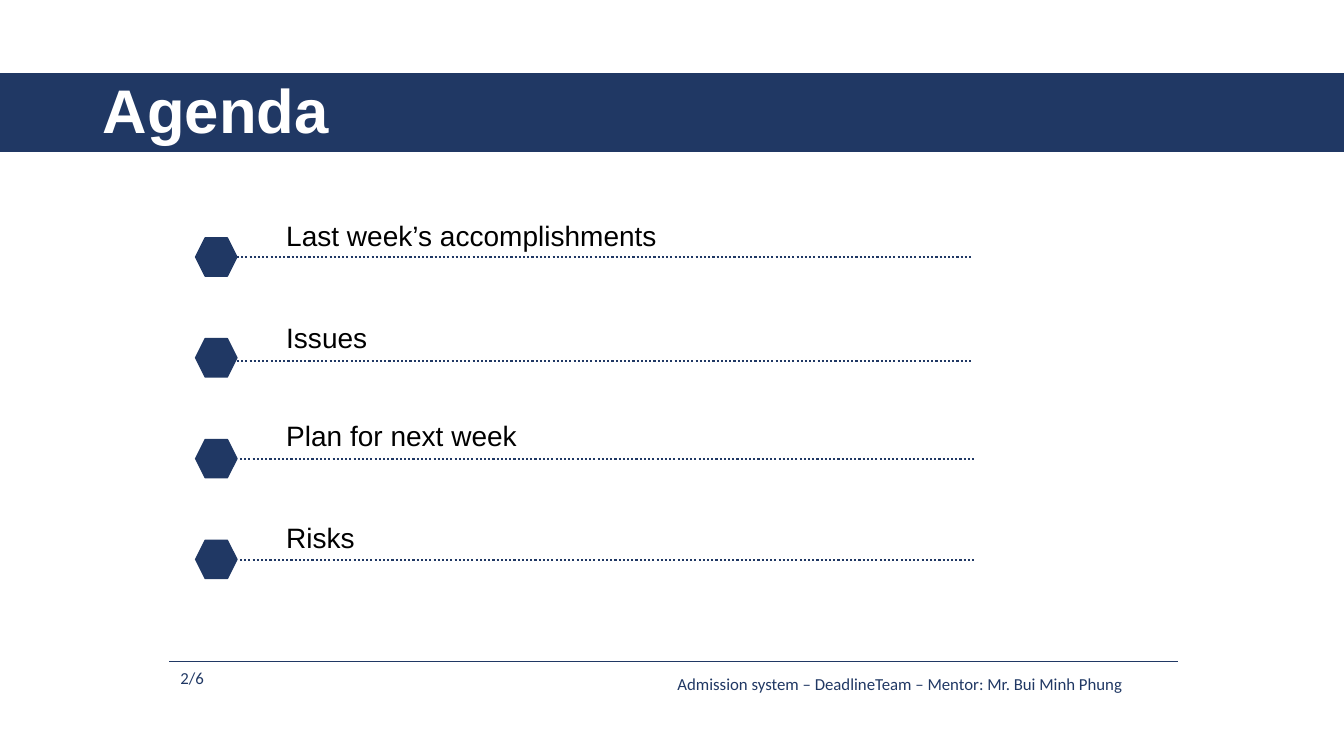
from dataclasses import dataclass
from lxml import etree
from pptx import Presentation
from pptx.dml.color import RGBColor
from pptx.enum.dml import MSO_LINE
from pptx.enum.shapes import MSO_CONNECTOR, MSO_SHAPE
from pptx.enum.text import MSO_ANCHOR, MSO_AUTO_SIZE, PP_ALIGN
from pptx.oxml.ns import qn
from pptx.util import Inches, Pt

RECT, HEXAGON = MSO_SHAPE.RECTANGLE, MSO_SHAPE.HEXAGON
STRAIGHT, DOTTED = MSO_CONNECTOR.STRAIGHT, MSO_LINE.ROUND_DOT
MIDDLE, LEFT = MSO_ANCHOR.MIDDLE, PP_ALIGN.LEFT
GROW, FIXED = MSO_AUTO_SIZE.SHAPE_TO_FIT_TEXT, MSO_AUTO_SIZE.NONE


@dataclass(frozen=True)
class Theme:
    """Colours, fonts and type sizes of the slide."""
    navy: RGBColor = RGBColor(0x20, 0x38, 0x64)
    white: RGBColor = RGBColor(0xFF, 0xFF, 0xFF)
    black: RGBColor = RGBColor(0, 0, 0)
    font: str = "Arial"
    footer_font: str = "Calibri"
    title_size: int = 44
    item_size: int = 20
    footer_size: int = 12


THEME = Theme()
WIDTH, HEIGHT = 13.33, 7.5
TITLE = "Agenda"
# label, label width, label top, rule left, rule y
ITEMS = [
    ("Last week\u2019s accomplishments", 3.91, 2.12, 2.35, 2.55),
    ("Issues", 1.01, 3.13, 2.35, 3.58),
    ("Plan for next week", 2.51, 4.1, 2.38, 4.55),
    ("Risks", 0.89, 5.11, 2.38, 5.56),
]
FOOTERS = [
    ("Admission system \u2013 DeadlineTeam \u2013 Mentor: Mr. Bui Minh Phung",
     (6.62, 6.63, 5.08, 0.3), False),
    ("2/6", (1.69, 6.58, 0.49, 0.3), True),
]
MARKER_LEFT, MARKER_TOP, MARKER_W, MARKER_H = 1.94, 2.36, 0.41, 0.38
ROW_PITCH, LABEL_LEFT, LABEL_H, RULE_LENGTH = 1.0, 2.74, 0.44, 7.3


def add_run(p, text, font, size, color, bold=False):
    """Add one formatted run to a paragraph."""
    r = p.add_run()
    r.text = text
    r.font.name, r.font.size, r.font.bold = font, Pt(size), bold
    r.font.color.rgb = color


def add_block(s, kind, *box):
    """Add a solid navy shape."""
    sp = s.shapes.add_shape(kind, *map(Inches, box))
    sp.shadow.inherit = False
    sp.fill.solid()
    sp.fill.fore_color.rgb = THEME.navy
    sp.line.color.rgb = THEME.navy
    sp.line.width = Pt(1)
    return sp


def add_rule(s, left, y, length, weight, dash=None):
    """Add a horizontal navy line."""
    ln = s.shapes.add_connector(STRAIGHT, *map(Inches, (left, y, left + length, y)))
    ln.line.color.rgb = THEME.navy
    ln.line.width = Pt(weight)
    if dash:
        ln.line.dash_style = dash
    etree.SubElement(ln.element.spPr, qn("a:effectLst"))


def add_label(s, text, box, font, size, color, wrap=False):
    """Add a one-line text box."""
    tf = s.shapes.add_textbox(*map(Inches, box)).text_frame
    tf.word_wrap, tf.auto_size = wrap, GROW
    add_run(tf.paragraphs[0], text, font, size, color)


def add_title(s):
    """Place the title over its navy band."""
    sp = s.shapes.title
    sp.left, sp.top, sp.width, sp.height = map(Inches, (0.92, 0.4, 11.5, 1.45))
    sp.element.addprevious(add_block(s, RECT, 0, 0.73, WIDTH, 0.77).element)
    tf = sp.text_frame
    tf.vertical_anchor, tf.auto_size, tf.word_wrap = MIDDLE, FIXED, True
    p = tf.paragraphs[0]
    p.alignment, p.line_spacing = LEFT, 0.9
    add_run(p, TITLE, THEME.font, THEME.title_size, THEME.white, True)


def main():
    """Build the agenda slide and save it."""
    prs = Presentation()
    prs.slide_width, prs.slide_height = Inches(WIDTH), Inches(HEIGHT)
    s = prs.slides.add_slide(prs.slide_layouts[5])
    add_title(s)
    for row, (text, width, top, rule_left, rule_y) in enumerate(ITEMS):
        add_block(s, HEXAGON, MARKER_LEFT, MARKER_TOP + row * ROW_PITCH, MARKER_W, MARKER_H)
        add_rule(s, rule_left, rule_y, RULE_LENGTH, 1.5, DOTTED)
        add_label(s, text, (LABEL_LEFT, top, width, LABEL_H),
                  THEME.font, THEME.item_size, THEME.black)
    add_rule(s, 1.68, 6.56, 10, 0.5)
    for text, box, wrap in FOOTERS:
        add_label(s, text, box, THEME.footer_font, THEME.footer_size, THEME.navy, wrap)
    prs.save("out.pptx")


main()
